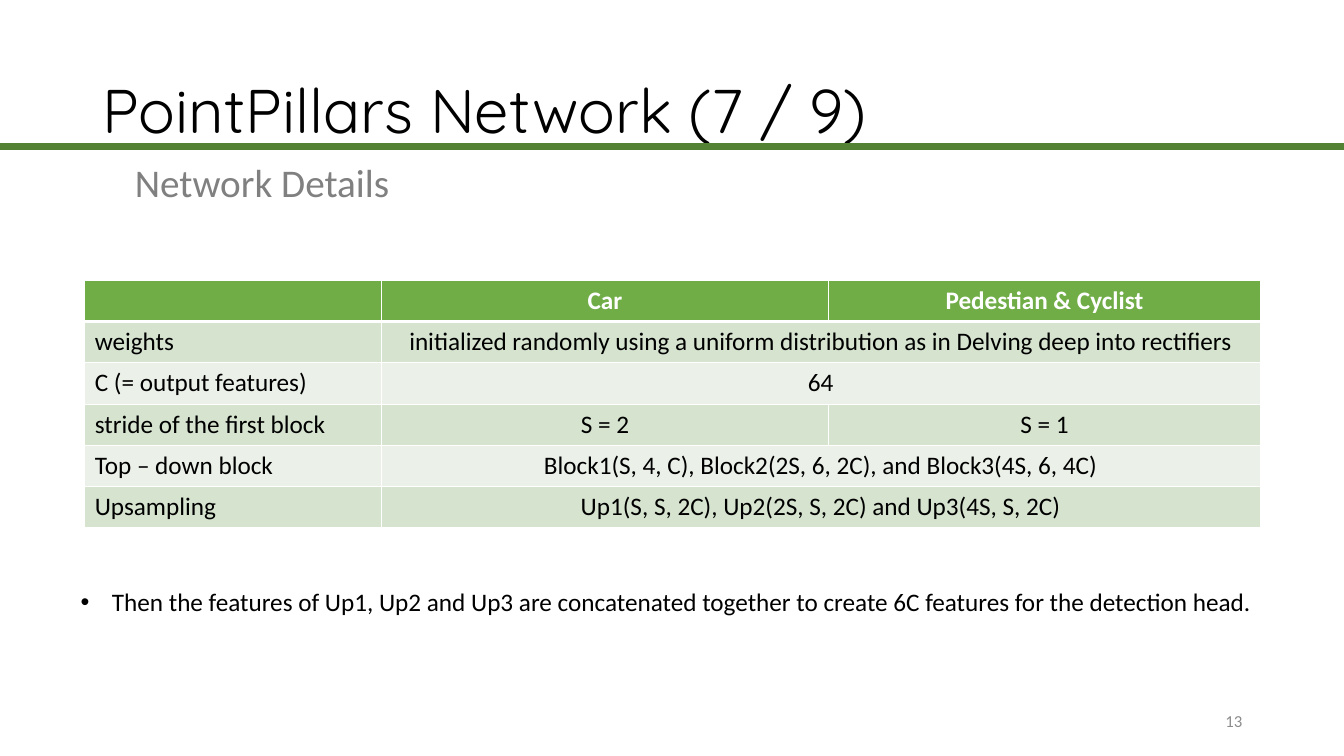
from dataclasses import dataclass

import lxml.etree
import pptx
import pptx.dml.color
import pptx.enum.shapes
import pptx.enum.text
import pptx.oxml.ns
import pptx.util

Inches = pptx.util.Inches
Pt = pptx.util.Pt
Align = pptx.enum.text.PP_ALIGN
Anchor = pptx.enum.text.MSO_ANCHOR
qn = pptx.oxml.ns.qn


@dataclass(frozen=True)
class Theme:
    heading_font: str = "Quicksand"
    body_font: str = "Calibri"
    title_size: int = 44
    subtitle_size: int = 28
    body_size: int = 18
    number_size: int = 12
    text: str = "000000"
    subtitle: str = "808080"
    number: str = "8C8C8C"
    white: str = "FFFFFF"
    rule: str = "548235"
    header: str = "70AD47"
    bands: tuple = ("D5E3CF", "EBF1E9")


def rgb(value):
    return pptx.dml.color.RGBColor.from_string(value)


class SlideBuilder:
    def __init__(self, presentation, theme):
        self.theme = theme
        self.slide = presentation.slides.add_slide(presentation.slide_layouts[1])

    def set_text(self, frame, text, size, color, font=None, align=Align.LEFT,
                 anchor=Anchor.TOP, bold=False):
        frame.text = text
        frame.word_wrap = True
        frame.vertical_anchor = anchor
        paragraph = frame.paragraphs[0]
        paragraph.alignment = align
        paragraph.space_before = Pt(0)
        for run in paragraph.runs:
            run.font.name = font or self.theme.body_font
            run.font.size = Pt(size)
            run.font.bold = bold
            run.font.color.rgb = rgb(color)
        return paragraph

    def place(self, shape, box):
        shape.left, shape.top, shape.width, shape.height = map(Inches, box)
        shape.text_frame.auto_size = pptx.enum.text.MSO_AUTO_SIZE.NONE

    def title(self, text, box):
        title = self.slide.shapes.title
        self.place(title, box)
        paragraph = self.set_text(title.text_frame, text, self.theme.title_size, self.theme.text,
                                  self.theme.heading_font, anchor=Anchor.MIDDLE)
        paragraph.line_spacing = 0.9

    def bullet(self, text, box, indent):
        body = self.slide.placeholders[1]
        self.place(body, box)
        paragraph = self.set_text(body.text_frame, text, self.theme.body_size, self.theme.text)
        properties = paragraph._p.get_or_add_pPr()
        properties.set("marL", str(Inches(indent)))
        properties.set("indent", str(-Inches(indent)))
        lxml.etree.SubElement(properties, qn("a:buFont"), typeface="Arial")
        lxml.etree.SubElement(properties, qn("a:buChar"), char="•")

    def label(self, text, box, size, color, **style):
        label = self.slide.shapes.add_textbox(*map(Inches, box))
        self.set_text(label.text_frame, text, size, color, **style)

    def rule(self, y, width, weight):
        line = self.slide.shapes.add_connector(
            pptx.enum.shapes.MSO_CONNECTOR.STRAIGHT, 0, Inches(y), Inches(width), Inches(y))
        line.line.color.rgb = rgb(self.theme.rule)
        line.line.width = Pt(weight)
        lxml.etree.SubElement(line._element.spPr, qn("a:effectLst"))

    def cell_borders(self, cell, row):
        """White grid, thicker between the header and the first row."""
        weights = {"L": 1, "R": 1, "T": 3 if row == 1 else 1, "B": 3 if row == 0 else 1}
        properties = cell._tc.get_or_add_tcPr()
        for side, weight in weights.items():
            border = lxml.etree.SubElement(properties, qn(f"a:ln{side}"), w=str(Pt(weight)))
            fill = lxml.etree.SubElement(border, qn("a:solidFill"))
            lxml.etree.SubElement(fill, qn("a:srgbClr"), val=self.theme.white)

    def table(self, rows, left, top, column_widths, row_height):
        """A row with fewer values than columns stretches its last value to the right edge."""
        theme = self.theme
        table = self.slide.shapes.add_table(
            len(rows), len(column_widths), Inches(left), Inches(top),
            Inches(sum(column_widths)), Inches(row_height * len(rows))).table
        for column, width in zip(table.columns, column_widths):
            column.width = Inches(width)
        last = len(column_widths) - 1
        for r, values in enumerate(rows):
            header = r == 0
            for c in range(last + 1):
                cell = table.cell(r, c)
                self.cell_borders(cell, r)
                cell.fill.solid()
                cell.fill.fore_color.rgb = rgb(theme.header if header else theme.bands[(r - 1) % 2])
            if len(values) <= last:
                table.cell(r, len(values) - 1).merge(table.cell(r, last))
            for c, value in enumerate(values):
                if value:
                    self.set_text(table.cell(r, c).text_frame, value, theme.body_size,
                                  theme.white if header else theme.text, bold=header,
                                  align=Align.CENTER if c else Align.LEFT)


NETWORK_DETAILS = [
    ("", "Car", "Pedestian & Cyclist"),
    ("weights", "initialized randomly using a uniform distribution as in Delving deep into rectifiers"),
    ("C (= output features)", "64"),
    ("stride of the first block", "S = 2", "S = 1"),
    ("Top – down block", "Block1(S, 4, C), Block2(2S, 6, 2C), and Block3(4S, 6, 4C)"),
    ("Upsampling", "Up1(S, S, 2C), Up2(2S, S, 2C) and Up3(4S, S, 2C)"),
]


def main():
    presentation = pptx.Presentation()
    presentation.slide_width = Inches(13.33)
    presentation.slide_height = Inches(7.5)
    theme = Theme()
    builder = SlideBuilder(presentation, theme)
    builder.title("PointPillars Network (7 / 9)", (0.92, 0.4, 11.5, 1.45))
    builder.rule(1.45, 13.33, 5)
    builder.label("Network Details", (1.24, 1.52, 5.76, 0.57), theme.subtitle_size, theme.subtitle)
    builder.table(NETWORK_DETAILS, 0.84, 2.78, (2.94, 4.44, 4.28), 0.41)
    builder.bullet("Then the features of Up1, Up2 and Up3 are concatenated together to create "
                   "6C features for the detection head.", (0.7, 5.77, 12.04, 0.74), 0.31)
    builder.label("13", (9.42, 6.95, 3, 0.4), theme.number_size, theme.number,
                  align=Align.RIGHT, anchor=Anchor.MIDDLE)
    presentation.save("out.pptx")


if __name__ == "__main__":
    main()
